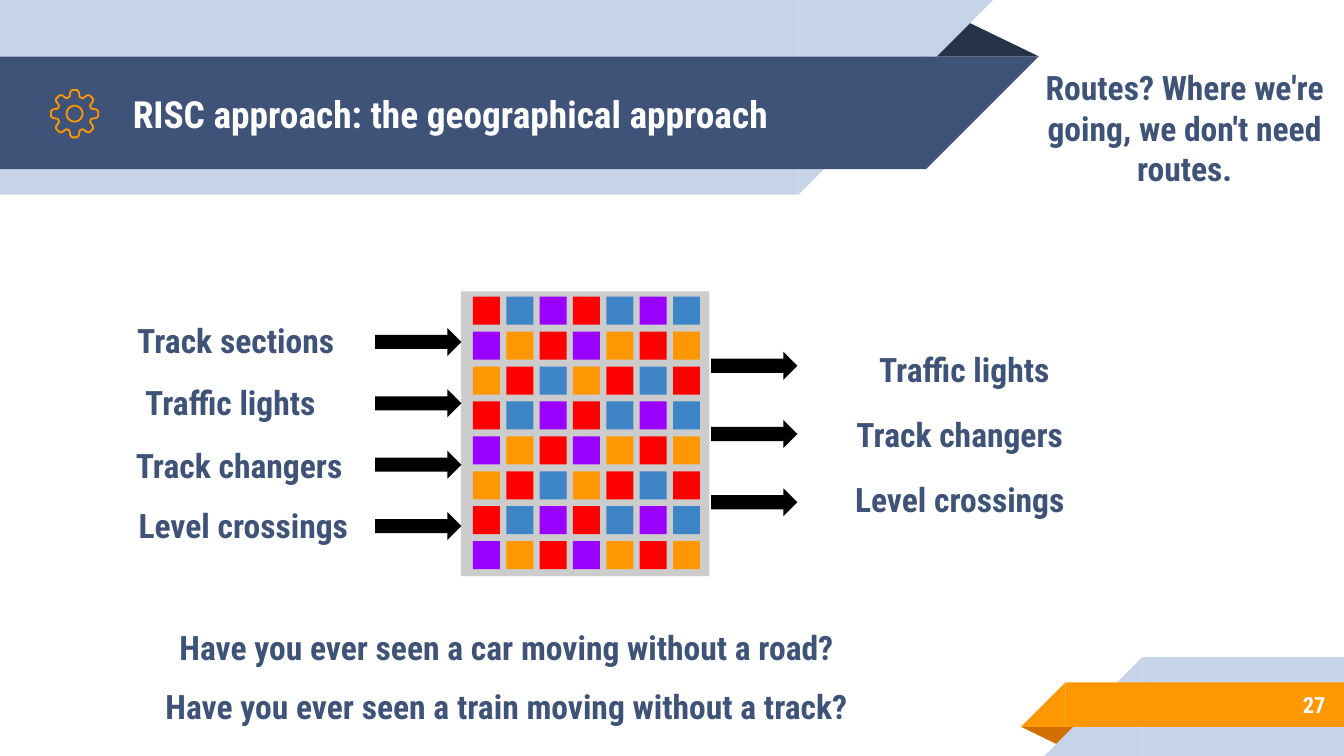
"""Build the slide on the geographical approach to train control."""
from dataclasses import dataclass
from math import cos, radians, sin

from pptx import Presentation
from pptx.dml.color import RGBColor
from pptx.enum.shapes import MSO_SHAPE
from pptx.enum.text import MSO_ANCHOR, PP_ALIGN
from pptx.shapes.autoshape import Shape
from pptx.shapes.shapetree import SlideShapes
from pptx.util import Cm, Pt

FONT = "Roboto Condensed"
HUES = {
    "pale": "C7D3E6", "navy": "3F5378", "dark": "263248",
    "orange": "FF9800", "rust": "D26F00", "white": "FFFFFF",
    "black": "000000", "grey": "CCCCCC", "red": "FF0000",
    "blue": "3D85C6", "purple": "9900FF",
}
RECT = MSO_SHAPE.RECTANGLE
WEDGE = MSO_SHAPE.RIGHT_TRIANGLE
FOLD = MSO_SHAPE.ISOSCELES_TRIANGLE
ARROW = MSO_SHAPE.RIGHT_ARROW
LEFT, MID, RIGHT = PP_ALIGN.LEFT, PP_ALIGN.CENTER, PP_ALIGN.RIGHT


@dataclass
class Box:
    """Place and size in centimetres."""
    x: float
    y: float
    w: float
    h: float

    def sides(self) -> list[Cm]:
        """Give the four lengths in drawing order."""
        return [Cm(self.x), Cm(self.y), Cm(self.w), Cm(self.h)]


@dataclass
class Block:
    """A filled preset shape."""
    kind: MSO_SHAPE
    box: Box
    hue: str
    turn: int = 0
    flip: bool = False
    peak: float | None = None


@dataclass
class Label:
    """A text box with one or more lines."""
    box: Box
    lines: tuple[str, ...]
    size: int = 18
    hue: str = "navy"
    align: PP_ALIGN = MID
    gaps: tuple[tuple[int, int], ...] = ((6, 10),)


BANDS = [
    Block(FOLD, Box(17.48, 0.36, 2.16, 0.71), "dark", peak=0.32),
    Block(RECT, Box(0, 0, 15.09, 3.68), "pale"),
    Block(WEDGE, Box(15.09, 0, 3.68, 3.68), "pale", 180, True),
    Block(RECT, Box(0, 1.07, 17.5, 2.13), "navy"),
    Block(WEDGE, Box(17.5, 1.07, 2.13, 2.13), "navy", 180, True),
    Block(FOLD, Box(19.3, 13.74, 1.09, 0.36), "rust", 180, peak=0.32),
    Block(RECT, Box(21.59, 12.42, 3.81, 1.87), "pale"),
    Block(WEDGE, Box(19.74, 12.42, 1.85, 1.87), "pale", flip=True),
    Block(RECT, Box(20.14, 12.9, 5.26, 0.84), "orange"),
    Block(WEDGE, Box(19.3, 12.9, 0.84, 0.84), "orange", flip=True),
]
LABELS = [
    Label(Box(2.26, 1.09, 15.27, 2.13),
          ("RISC approach: the geographical approach",),
          20, "white", LEFT, ((0, 0),)),
    Label(Box(21.16, 12.88, 4.14, 0.89), ("27",),
          12, "white", RIGHT, ((0, 0),)),
    Label(Box(1.75, 5.66, 5.41, 1.55), ("Track sections",)),
    Label(Box(1.65, 6.83, 5.41, 1.55), ("Traffic lights",)),
    Label(Box(2.26, 7.72, 4.52, 2.13), ("Track changers",)),
    Label(Box(2.34, 8.86, 4.52, 2.13), ("Level crossings",)),
    Label(Box(15.52, 6.2, 5.41, 1.55), ("Traffic lights",)),
    Label(Box(15.88, 7.14, 4.52, 2.13), ("Track changers",)),
    Label(Box(15.88, 8.36, 4.52, 2.13), ("Level crossings",)),
    Label(Box(19.38, 1.35, 6.02, 2.13),
          ("Routes? Where we're going, we don't need routes.",)),
    Label(Box(0.15, 11.73, 18.85, 2.13),
          ("Have you ever seen a car moving without a road?",
           "Have you ever seen a train moving without a track?"),
          gaps=((6, 0), (10, 10))),
]
TILES = [
    ("red", "blue", "purple"),
    ("purple", "orange", "red"),
    ("orange", "red", "blue"),
]
ORDER = (0, 1, 2, 0, 1, 2, 1)


def tint(hue: str) -> RGBColor:
    """Look up a colour by name."""
    return RGBColor.from_string(HUES[hue])


def draw(shapes: SlideShapes, block: Block) -> Shape:
    """Add one filled shape."""
    shape = shapes.add_shape(block.kind, *block.box.sides())
    shape.shadow.inherit = False
    shape.fill.solid()
    shape.fill.fore_color.rgb = tint(block.hue)
    shape.line.fill.background()
    shape.rotation = block.turn
    if block.flip:
        shape._element.spPr.xfrm.set("flipH", "1")
    if block.peak is not None:
        shape.adjustments[0] = block.peak
    return shape


def write(shapes: SlideShapes, label: Label) -> None:
    """Add one text box."""
    frame = shapes.add_textbox(*label.box.sides()).text_frame
    frame.word_wrap = True
    frame.vertical_anchor = MSO_ANCHOR.MIDDLE
    frame.margin_left = frame.margin_right = Cm(0.25)
    frame.margin_top = frame.margin_bottom = Cm(0.25)
    for spot, (line, gap) in enumerate(zip(label.lines, label.gaps)):
        para = frame.add_paragraph() if spot else frame.paragraphs[0]
        para.alignment = label.align
        para.space_before, para.space_after = Pt(gap[0]), Pt(gap[1])
        run = para.add_run()
        run.text = line
        run.font.name = FONT
        run.font.size = Pt(label.size)
        run.font.bold = True
        run.font.color.rgb = tint(label.hue)


def gear(shapes: SlideShapes, x: float, y: float) -> None:
    """Outline a gear with eight teeth and a round hole."""
    def point(size: float, angle: float) -> tuple[int, int]:
        turn = radians(angle)
        return Cm(x + size * cos(turn)), Cm(y + size * sin(turn))

    tooth = [(0.33, -17), (0.42, -11), (0.45, -6),
             (0.45, 6), (0.42, 11), (0.33, 17)]
    rim = [point(size, base + angle)
           for base in range(0, 360, 45) for size, angle in tooth]
    hole = [point(0.15, angle) for angle in range(0, 360, 10)]
    build = shapes.build_freeform(*rim[0])
    build.add_line_segments(rim[1:], close=True)
    build.move_to(*hole[0])
    build.add_line_segments(hole[1:], close=True)
    shape = build.convert_to_shape()
    shape.shadow.inherit = False
    shape.fill.background()
    shape.line.color.rgb = tint("orange")
    shape.line.width = Pt(0.96)


def arrows(shapes: SlideShapes, x: float, y: float,
           step: float, count: int) -> None:
    """Add a column of arrows."""
    for row in range(count):
        box = Box(x, y + step * row, 1.63, 0.53)
        draw(shapes, Block(ARROW, box, "black"))


def grid(shapes: SlideShapes) -> None:
    """Add the board and its coloured tiles."""
    draw(shapes, Block(RECT, Box(8.71, 5.51, 4.7, 5.38), "grey"))
    for row in range(8):
        for col, pick in enumerate(ORDER):
            box = Box(8.94 + 0.63 * col, 5.61 + 0.66 * row, 0.51, 0.53)
            draw(shapes, Block(RECT, box, TILES[row % 3][pick]))


def main() -> None:
    """Build and save the deck."""
    deck = Presentation()
    deck.slide_width, deck.slide_height = Cm(25.4), Cm(14.29)
    shapes = deck.slides.add_slide(deck.slide_layouts[6]).shapes
    for band in BANDS:
        draw(shapes, band)
    gear(shapes, 1.41, 2.15)
    grid(shapes)
    arrows(shapes, 7.09, 6.2, 1.16, 4)
    arrows(shapes, 13.44, 6.65, 1.29, 3)
    for label in LABELS:
        write(shapes, label)
    deck.save("out.pptx")


if __name__ == "__main__":
    main()
